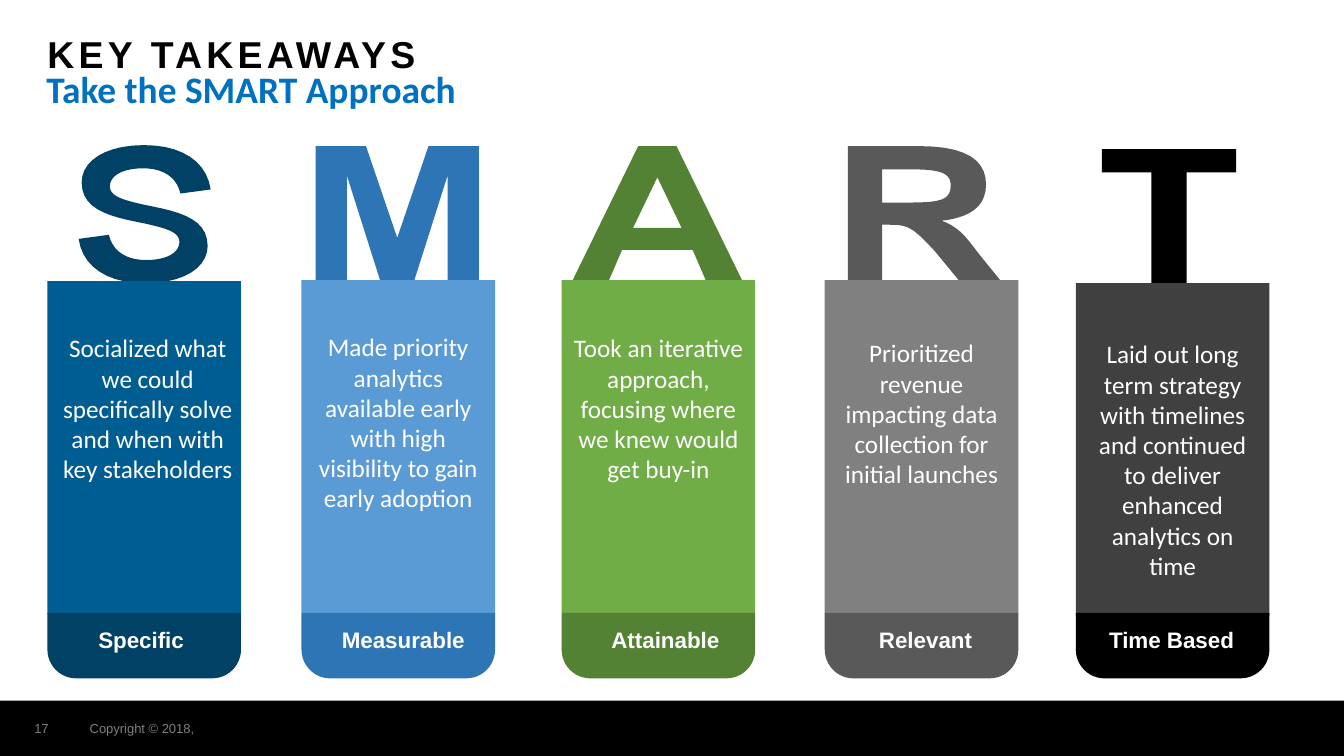
from dataclasses import dataclass

from pptx import Presentation
from pptx.dml.color import RGBColor
from pptx.enum.shapes import MSO_SHAPE
from pptx.enum.text import MSO_ANCHOR, MSO_AUTO_SIZE, PP_ALIGN
from pptx.util import Pt

PX = 9144  # EMU in one px, 100 px to the inch
SLIDE_WIDTH, SLIDE_HEIGHT = 1333, 750


@dataclass(frozen=True)
class Theme:
    heading_font: str = "Arial"
    body_font: str = "Calibri"
    black: str = "000000"
    white: str = "FFFFFF"
    subtitle: str = "0070C0"
    footer: str = "808080"
    title_size: float = 26.7
    body_size: float = 18
    label_size: float = 16
    footer_size: float = 9.3


@dataclass(frozen=True)
class Card:
    letter: str
    label: str
    text: str
    light: str
    dark: str
    left: int
    label_center: int
    text_top: int
    top: int = 278
    text_width: int = 192


THEME = Theme()
TITLE = "KEY TAKEAWAYS"
SUBTITLE = "Take the SMART Approach"
PAGE_NUMBER = "17"
COPYRIGHT = "Copyright © 2018,"
CARD_WIDTH, BODY_HEIGHT, TEXT_HEIGHT = 192, 330, 252
FOOT_TOP, FOOT_HEIGHT, FOOT_ROUNDING = 608, 65, 0.44
LABEL_TOP, LABEL_WIDTH, LABEL_HEIGHT = 616, 217, 37
FOOTER_TOP = 695
CURVE_STEPS = 10

CARDS = [
    Card("S", "Specific",
         "Socialized what we could specifically solve and when with key stakeholders",
         "005D91", "004165", 47, 140, 325, top=279, text_width=199),
    Card("M", "Measurable",
         "Made priority analytics available early with high visibility to gain early adoption",
         "5B9BD5", "2E75B6", 299, 400, 324),
    Card("A", "Attainable",
         "Took an iterative approach, focusing where we knew would get buy-in",
         "70AD47", "548235", 557, 660, 325),
    Card("R", "Relevant",
         "Prioritized revenue impacting data collection for initial launches",
         "808080", "595959", 818, 918, 330),
    Card("T", "Time Based",
         "Laid out long term strategy with timelines and continued to deliver "
         "enhanced analytics on time",
         "404040", "000000", 1067, 1162, 331, top=281),
]


def mirror(half, axis):
    """Close a left half with its reflection in the vertical line x = axis."""
    return half + [(2 * axis - x, y) for x, y in reversed(half)]


def flatten(segments):
    """Turn corners (two numbers) and Bezier curves (six numbers) into points."""
    points = [segments[0]]
    for segment in segments[1:]:
        if len(segment) == 2:
            points.append(segment)
            continue
        controls = [points[-1], segment[:2], segment[2:4], segment[4:]]
        for step in range(1, CURVE_STEPS + 1):
            t = step / CURVE_STEPS
            weights = ((1 - t) ** 3, 3 * t * (1 - t) ** 2, 3 * t * t * (1 - t), t ** 3)
            points.append(tuple(sum(w * c[axis] for w, c in zip(weights, controls))
                                for axis in (0, 1)))
    return points


def half_turn(half, center_x, center_y):
    """Close an outline with its own half turn about the center."""
    return half + [(2 * center_x - x, 2 * center_y - y) for x, y in half]


S_EDGE = flatten([
    (209, 188), (205, 160, 180, 144, 143, 144), (104, 144, 81, 160, 81, 181),
    (81, 206, 105, 214, 135, 220), (165, 226, 178, 230, 178, 240),
    (178, 251, 165, 258, 145, 258), (126, 258, 112, 250, 108, 233),
])
M_HALF = [(394, 236), (363, 145), (313, 145), (313, 278), (344, 278), (344, 174), (377, 278)]
A_HALF = [(633, 145), (568, 278), (604, 278), (617, 248)]
A_HOLE_HALF = [(652, 176), (628, 226)]
R_OUTLINE = flatten([
    (841, 145), (912, 145), (960, 145, 978, 160, 978, 183), (978, 205, 962, 216, 934, 219),
    (953, 226, 960, 238, 971, 252), (992, 278), (951, 278), (927, 249),
    (905, 225, 900, 223, 882, 223), (875, 223), (875, 278), (841, 278),
])
R_HOLE = flatten([
    (875, 168), (901, 168), (932, 168, 943, 171, 943, 184),
    (943, 199, 932, 201, 900, 201), (875, 201),
])
T_HALF = [(1093, 148), (1093, 171), (1142, 171), (1142, 281)]

LETTERS = {
    "S": [half_turn(S_EDGE, 143.5, 212.5)],
    "M": [mirror(M_HALF, 394)],
    "A": [mirror(A_HALF, 652), mirror(A_HOLE_HALF, 652)],
    "R": [R_OUTLINE, R_HOLE],
    "T": [mirror(T_HALF, 1159.5)],
}


def emu(*lengths):
    return [round(length * PX) for length in lengths]


def paint(shape, color):
    shape.shadow.inherit = False
    shape.fill.solid()
    shape.fill.fore_color.rgb = RGBColor.from_string(color)
    shape.line.fill.background()


def add_block(page, preset, box, color):
    shape = page.shapes.add_shape(preset, *emu(*box))
    paint(shape, color)
    return shape


def add_letter(page, letter, color):
    outlines = [[emu(*point) for point in outline] for outline in LETTERS[letter]]
    builder = page.shapes.build_freeform(*outlines[0][0], scale=1.0)
    for index, points in enumerate(outlines):
        if index:
            builder.move_to(*points[0])
        builder.add_line_segments(points[1:], close=True)
    paint(builder.convert_to_shape(), color)


def write(shape, text, size, color, font=THEME.body_font, bold=False,
          align=PP_ALIGN.LEFT, anchor=MSO_ANCHOR.TOP, inset=(10, 5), line_spacing=None):
    frame = shape.text_frame
    frame.word_wrap = True
    frame.auto_size = MSO_AUTO_SIZE.NONE
    frame.vertical_anchor = anchor
    frame.margin_left, frame.margin_top = emu(*inset)
    frame.margin_right, frame.margin_bottom = emu(*inset)
    para = frame.paragraphs[0]
    para.alignment = align
    if line_spacing:
        para.line_spacing = line_spacing
    span = para.add_run()
    span.text = text
    span.font.name = font
    span.font.size = Pt(size)
    span.font.bold = bold
    span.font.color.rgb = RGBColor.from_string(color)
    return span


def add_text(page, box, *content, **style):
    write(page.shapes.add_textbox(*emu(*box)), *content, **style)


def add_heading(page):
    title = page.shapes.title
    title.left, title.top, title.width, title.height = emu(47, -6, 1268, 82)
    span = write(title, TITLE, THEME.title_size, THEME.black, font=THEME.heading_font,
                 bold=True, anchor=MSO_ANCHOR.BOTTOM, inset=(0, 0), line_spacing=0.9)
    span.font._element.set("spc", "300")
    add_text(page, (33, 64, 1218, 68), SUBTITLE, THEME.title_size, THEME.subtitle,
             bold=True, inset=(13, 7), line_spacing=0.9)


def add_footer(page):
    add_block(page, MSO_SHAPE.RECTANGLE,
              (0, FOOTER_TOP, SLIDE_WIDTH, SLIDE_HEIGHT - FOOTER_TOP), THEME.black)
    for left, width, text in ((34, 40, PAGE_NUMBER), (89, 567, COPYRIGHT)):
        add_text(page, (left, FOOTER_TOP + 20, width, 16), text, THEME.footer_size,
                 THEME.footer, font=THEME.heading_font, anchor=MSO_ANCHOR.MIDDLE, inset=(0, 0))


def add_card(page, card):
    add_letter(page, card.letter, card.dark)
    add_block(page, MSO_SHAPE.RECTANGLE,
              (card.left, card.top, CARD_WIDTH, BODY_HEIGHT), card.light)
    foot = add_block(page, MSO_SHAPE.ROUND_2_SAME_RECTANGLE,
                     (card.left, FOOT_TOP, CARD_WIDTH, FOOT_HEIGHT), card.dark)
    foot.adjustments[0], foot.adjustments[1] = 0, FOOT_ROUNDING
    add_text(page, (card.label_center - LABEL_WIDTH / 2, LABEL_TOP, LABEL_WIDTH, LABEL_HEIGHT),
             card.label, THEME.label_size, THEME.white, font=THEME.heading_font, bold=True,
             align=PP_ALIGN.CENTER)
    add_text(page, (card.left, card.text_top, card.text_width, TEXT_HEIGHT), card.text,
             THEME.body_size, THEME.white, align=PP_ALIGN.CENTER)


def main():
    deck = Presentation()
    deck.slide_width, deck.slide_height = emu(SLIDE_WIDTH, SLIDE_HEIGHT)
    page = deck.slides.add_slide(deck.slide_layouts[5])
    add_footer(page)
    add_heading(page)
    for card in CARDS:
        add_card(page, card)
    deck.save("out.pptx")


if __name__ == "__main__":
    main()
